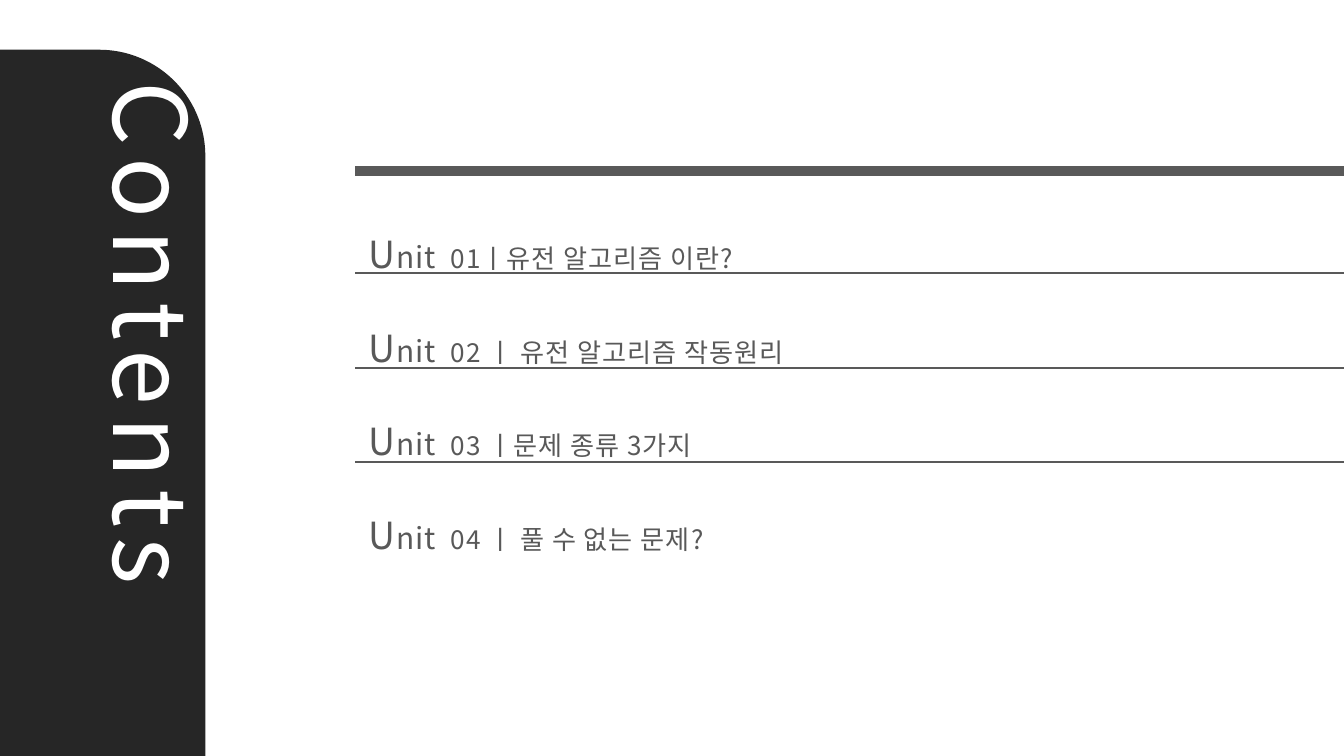
from dataclasses import dataclass

from lxml.etree import SubElement
from pptx import Presentation
from pptx.dml.color import RGBColor
from pptx.enum.shapes import MSO_CONNECTOR, MSO_SHAPE
from pptx.enum.text import MSO_ANCHOR, MSO_AUTO_SIZE, PP_ALIGN
from pptx.oxml.ns import qn
from pptx.util import Cm, Pt


@dataclass(frozen=True)
class Theme:
    """Hold the colours, font and type sizes of the slide."""
    font: str = "Noto Sans CJK KR"
    panel: RGBColor = RGBColor(0x26, 0x26, 0x26)
    heading: RGBColor = RGBColor(0xFF, 0xFF, 0xFF)
    ink: RGBColor = RGBColor(0x59, 0x59, 0x59)
    heading_size: float = 54
    initial_size: float = 20
    word_size: float = 16
    topic_size: float = 14
    heading_spacing: float = 6
    unit_spacing: float = 0.5
    gap_spacing: float = 4.2


@dataclass(frozen=True)
class Box:
    """Describe a region in centimetres."""
    left: float
    top: float
    width: float
    height: float


THEME = Theme()
UNITS = [
    ("01ㅣ유전 알고리즘 이란?", 13.94),
    ("02 ㅣ 유전 알고리즘 작동원리", 16.13),
    ("03 ㅣ문제 종류 3가지", 16.71),
    ("04 ㅣ 풀 수 없는 문제?", 17.7),
]


def place(shape, box):
    """Move a shape into a box."""
    shape.left, shape.top = Cm(box.left), Cm(box.top)
    shape.width, shape.height = Cm(box.width), Cm(box.height)


def turned(box):
    """Return the frame that fills the box after a quarter turn."""
    shift = (box.width - box.height) / 2
    return Box(box.left + shift, box.top - shift, box.height, box.width)


def write_runs(paragraph, color, runs):
    """Write runs of text, size and letter spacing in one font and colour."""
    paragraph.alignment = PP_ALIGN.LEFT
    paragraph.space_before = Pt(0)
    properties = paragraph._p.get_or_add_pPr()
    properties.set("marL", "0")
    properties.set("indent", "0")
    SubElement(properties, qn("a:buNone"))
    added = []
    for text, size, spacing in runs:
        run = paragraph.add_run()
        run.text = text
        run.font.size = Pt(size)
        run._r.get_or_add_rPr().set("spc", str(round(spacing * 100)))
        added.append(run)
    for font in (paragraph.font, *(run.font for run in added)):
        font.name = THEME.font
        font.bold = False
        font.color.rgb = color
    for run in added:
        SubElement(run._r.get_or_add_rPr(), qn("a:ea"), typeface=THEME.font)


def draw_sidebar(slide, box):
    """Draw the rounded side panel with its vertical title."""
    panel = slide.shapes.add_shape(MSO_SHAPE.ROUNDED_RECTANGLE, 0, 0, 0, 0)
    place(panel, turned(box))
    panel.rotation = 270
    panel.adjustments[0] = 0.223
    panel.shadow.inherit = False
    panel.fill.solid()
    panel.fill.fore_color.rgb = THEME.panel
    panel.line.fill.background()

    title = slide.shapes.title
    place(title, turned(Box(box.left + 6.71, box.top + 0.35, 2.57, 11.81)))
    title.rotation = 90
    frame = title.text_frame
    frame.word_wrap = False
    frame.auto_size = MSO_AUTO_SIZE.SHAPE_TO_FIT_TEXT
    frame.vertical_anchor = MSO_ANCHOR.TOP
    write_runs(frame.paragraphs[0], THEME.heading,
               [("Contents", THEME.heading_size, THEME.heading_spacing)])
    panel._element.addnext(title._element)


def draw_rule(slide, box, offset, weight):
    """Draw a horizontal rule across the box at an offset from its top."""
    height = Cm(box.top + offset)
    rule = slide.shapes.add_connector(
        MSO_CONNECTOR.STRAIGHT, Cm(box.left), height, Cm(box.left + box.width), height)
    rule.line.color.rgb = THEME.ink
    rule.line.width = Pt(weight)
    SubElement(rule._element.spPr, qn("a:effectLst"))


def write_unit(placeholder, box, topic):
    """Write one unit line in a body placeholder."""
    place(placeholder, box)
    frame = placeholder.text_frame
    frame.word_wrap = True
    frame.auto_size = MSO_AUTO_SIZE.NONE
    frame.vertical_anchor = MSO_ANCHOR.MIDDLE
    write_runs(frame.paragraphs[0], THEME.ink, [
        ("U", THEME.initial_size, THEME.unit_spacing),
        ("nit", THEME.word_size, THEME.unit_spacing),
        (" ", THEME.topic_size, THEME.gap_spacing),
        (topic, THEME.topic_size, THEME.unit_spacing),
    ])


def draw_unit_list(slide, box):
    """Draw the ruled list of units."""
    draw_rule(slide, box, 0, 5)
    for index in range(len(UNITS) - 1):
        draw_rule(slide, box, 1.93 + index * 1.79, 1)
    bodies = [shape for shape in slide.placeholders if shape.placeholder_format.idx > 0]
    for index, (body, (topic, width)) in enumerate(zip(bodies, UNITS)):
        row = Box(box.left, box.top + 0.51 + index * 1.77, width, 2.11)
        write_unit(body, row, topic)


def main():
    """Build and save the contents slide."""
    presentation = Presentation()
    presentation.slide_width, presentation.slide_height = Cm(25.4), Cm(14.29)
    layout = presentation.slide_layouts.get_by_name("Comparison")
    slide = presentation.slides.add_slide(layout)
    draw_sidebar(slide, Box(-5.11, 0.94, 8.99, 16.21))
    draw_unit_list(slide, Box(6.71, 3.23, 18.69, 7.93))
    presentation.save("out.pptx")


if __name__ == "__main__":
    main()
